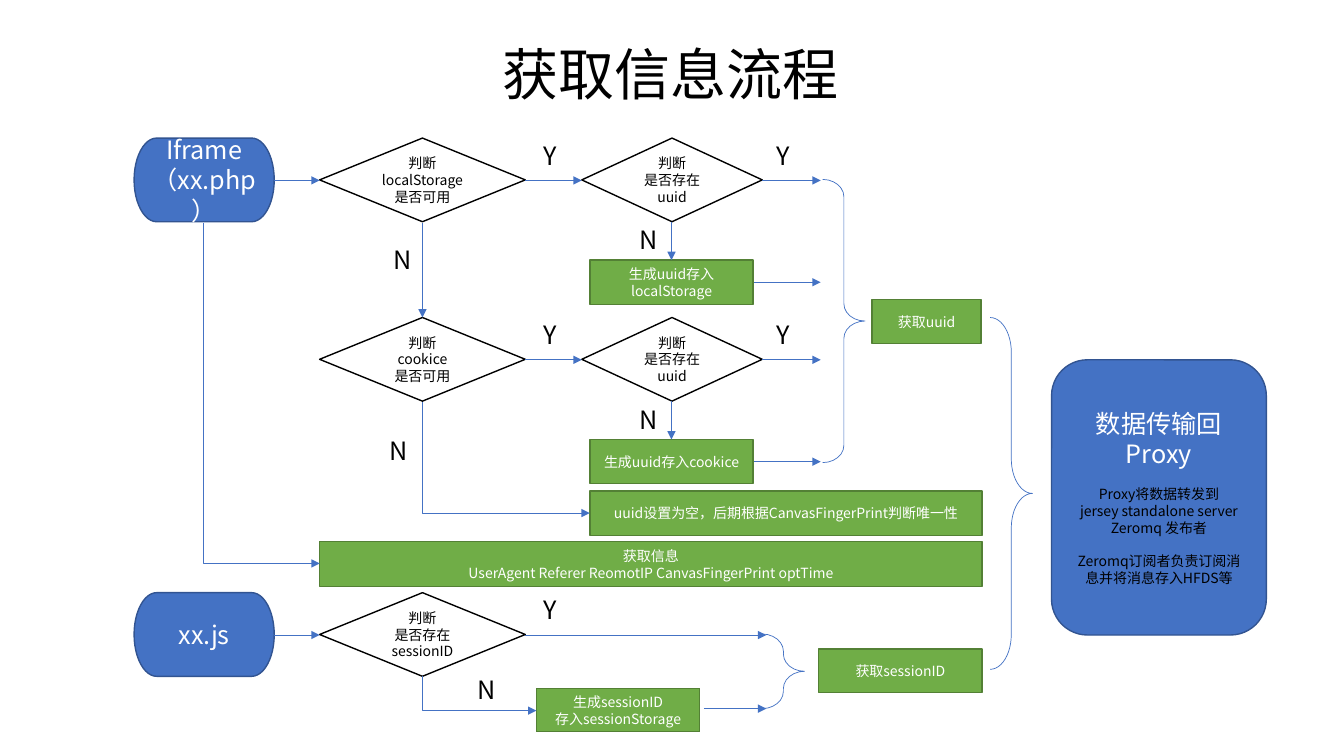
from dataclasses import dataclass

import lxml.etree
import pptx
import pptx.dml.color
import pptx.enum.shapes
import pptx.enum.text
import pptx.oxml.ns
import pptx.util

Inches = pptx.util.Inches
Pt = pptx.util.Pt
MSO = pptx.enum.shapes.MSO_SHAPE
LINK = pptx.enum.shapes.MSO_CONNECTOR
CENTER = pptx.enum.text.PP_ALIGN.CENTER
LEFT = pptx.enum.text.PP_ALIGN.LEFT
MIDDLE = pptx.enum.text.MSO_ANCHOR.MIDDLE
TOP = pptx.enum.text.MSO_ANCHOR.TOP
FONT = "Noto Sans CJK SC"
BLUE, BLACK, WHITE = "4472C4", "000000", "FFFFFF"


@dataclass(frozen=True)
class Kind:
    """Look shared by all nodes of one sort."""
    form: int
    fill: str
    edge: str
    ink: str
    size: int


@dataclass(frozen=True)
class Node:
    """One box of the flow, in inches."""
    kind: Kind
    x: float
    y: float
    w: float
    h: float
    text: str


START = Kind(MSO.FLOWCHART_TERMINATOR, BLUE, "325491", WHITE, 18)
TEST = Kind(MSO.FLOWCHART_DECISION, WHITE, BLACK, BLACK, 10)
STEP = Kind(MSO.FLOWCHART_PROCESS, "70AD47", "538035", WHITE, 10)
GOAL = Kind(MSO.FLOWCHART_ALTERNATE_PROCESS, BLUE, "325491", WHITE, 18)


def tint(code: str):
    """Turn a hex string into a colour."""
    return pptx.dml.color.RGBColor.from_string(code)


def put(item, values: dict) -> None:
    """Set each format value on an object."""
    for name, value in values.items():
        setattr(item, name, value)


def style(para, size: int, ink: str, align=CENTER) -> None:
    """Format one paragraph and its runs."""
    para.alignment = align
    for run in para.runs:
        put(run.font, {"size": Pt(size), "name": FONT})
        run.font.color.rgb = tint(ink)
        east = lxml.etree.SubElement(run.font._element, pptx.oxml.ns.qn("a:ea"))
        east.set("typeface", FONT)


def draw_node(slide, node: Node):
    """Draw a flow box with its text."""
    kind = node.kind
    shape = slide.shapes.add_shape(
        kind.form, *map(Inches, (node.x, node.y, node.w, node.h)))
    shape.shadow.inherit = False
    shape.fill.solid()
    shape.fill.fore_color.rgb = tint(kind.fill)
    shape.line.color.rgb = tint(kind.edge)
    shape.line.width = Pt(1)
    frame = shape.text_frame
    put(frame, {"word_wrap": True, "vertical_anchor": MIDDLE, "text": node.text})
    for para in frame.paragraphs:
        style(para, kind.size, kind.ink)
    return shape


def draw_mark(slide, x: float, y: float, text: str) -> None:
    """Draw a Y or N beside a branch."""
    box = slide.shapes.add_textbox(*map(Inches, (x, y, 0.39, 0.4)))
    put(box.text_frame, {"word_wrap": True, "vertical_anchor": TOP, "text": text})
    style(box.text_frame.paragraphs[0], 18, BLACK, LEFT)


def draw_brace(slide, x: float, y: float, h: float, curve: float) -> None:
    """Draw a right brace that joins branches."""
    brace = slide.shapes.add_shape(
        MSO.RIGHT_BRACE, *map(Inches, (x, y, 0.42, h)))
    brace.shadow.inherit = False
    brace.fill.background()
    brace.line.color.rgb = tint(BLUE)
    brace.line.width = Pt(0.5)
    brace.adjustments[0] = curve


def draw_link(slide, kind, x0: float, y0: float, x1: float, y1: float):
    """Draw a thin connector with an arrowhead at its end."""
    link = slide.shapes.add_connector(kind, *map(Inches, (x0, y0, x1, y1)))
    link.line.color.rgb = tint(BLUE)
    link.line.width = Pt(0.5)
    tail = lxml.etree.SubElement(
        link.line._get_or_add_ln(), pptx.oxml.ns.qn("a:tailEnd"))
    tail.set("type", "triangle")
    lxml.etree.SubElement(link._element.spPr, pptx.oxml.ns.qn("a:effectLst"))
    return link


def draw_bend(slide, x0: float, y0: float, x1: float, y1: float) -> None:
    """Draw an arrow that goes down, then right: a turned one-bend connector."""
    wide, high = y1 - y0, x1 - x0
    left, top = (x0 + x1 - wide) / 2, (y0 + y1 - high) / 2
    link = draw_link(slide, LINK.ELBOW, left + wide, top, left, top + high)
    props = link._element.spPr
    props.find(pptx.oxml.ns.qn("a:xfrm")).set("rot", str(270 * 60000))
    props.find(pptx.oxml.ns.qn("a:prstGeom")).set("prst", "bentConnector2")


deck = pptx.Presentation()
put(deck, {"slide_width": Inches(13.33), "slide_height": Inches(7.5)})
slide = deck.slides.add_slide(deck.slide_layouts[5])

title = slide.shapes.title
put(title, {"left": Inches(1.95), "top": Inches(0.34),
            "width": Inches(9.4), "height": Inches(0.77)})
put(title.text_frame, {"text": "获取信息流程", "word_wrap": True,
                       "vertical_anchor": MIDDLE,
                       "auto_size": pptx.enum.text.MSO_AUTO_SIZE.NONE})
style(title.text_frame.paragraphs[0], 40, BLACK)

ROWS = (1.37, 3.15, 5.88)
HIGH, HALF = 0.83, 0.42
TESTS = ("localStorage\n是否可用", "cookice\n是否可用", "是否存在\nsessionID")

# First test of every row, with its Y mark
for top, test in zip(ROWS, TESTS):
    draw_node(slide, Node(TEST, 3.17, top, 2.04, HIGH, "判断\n" + test))
    draw_mark(slide, 5.29, top - 0.03, "Y")

# Search for a uuid in each store
for top, store in zip(ROWS, ("localStorage", "cookice")):
    mid = top + HALF
    draw_node(slide, Node(TEST, 5.77, top, 1.79, HIGH, "判断\n是否存在\nuuid"))
    draw_node(slide, Node(STEP, 5.85, top + 1.21, 1.62, 0.44, "生成uuid存入" + store))
    draw_mark(slide, 7.6, top - 0.03, "Y")
    draw_mark(slide, 6.24, top + 0.81, "N")
    for ends in ((5.21, mid, 5.77, mid), (7.56, mid, 8.14, mid),
                 (6.66, top + HIGH, 6.66, top + 1.21),
                 (7.48, top + 1.43, 8.14, top + 1.43)):
        draw_link(slide, LINK.STRAIGHT, *ends)

# Entry points
for top, text in ((ROWS[0], "Iframe\n（xx.php）"), (ROWS[2], "xx.js")):
    draw_node(slide, Node(START, 1.33, top, 1.39, HIGH, text))
    draw_link(slide, LINK.STRAIGHT, 2.72, top + HALF, 3.17, top + HALF)

for node in (
    Node(STEP, 5.85, 4.87, 3.89, 0.44, "uuid设置为空，后期根据CanvasFingerPrint判断唯一性"),
    Node(STEP, 3.17, 5.37, 6.57, 0.45,
         "获取信息\nUserAgent Referer ReomotIP CanvasFingerPrint optTime"),
    Node(STEP, 5.32, 6.83, 1.62, 0.43, "生成sessionID\n存入sessionStorage"),
    Node(STEP, 8.12, 6.44, 1.62, 0.43, "获取sessionID"),
    Node(STEP, 8.65, 2.97, 1.08, 0.44, "获取uuid"),
):
    draw_node(slide, node)

goal = draw_node(slide, Node(
    GOAL, 10.43, 3.57, 2.13, 2.73,
    "数据传输回Proxy\nProxy将数据转发到\njersey standalone server\n"
    "Zeromq 发布者\nZeromq订阅者负责订阅消息并将消息存入HFDS等"))
notes = goal.text_frame.paragraphs[1:]
for para in notes:
    for run in para.runs:
        run.font.size = Pt(10)
        run.font.color.rgb = tint(BLACK)
for para in (notes[0], notes[-1]):
    para.space_before = Pt(12)

for x, y in ((3.8, 2.37), (3.76, 4.27), (4.64, 6.64)):
    draw_mark(slide, x, y, "N")

for ends in ((4.19, 2.21, 4.19, 3.15), (5.21, 6.3, 7.6, 6.3),
             (6.98, 7.03, 7.6, 7.03)):
    draw_link(slide, LINK.STRAIGHT, *ends)

for ends in ((2.02, 2.21, 3.17, 5.59), (4.19, 3.99, 5.85, 5.09),
             (4.19, 6.71, 5.32, 7.05)):
    draw_bend(slide, *ends)

for brace in ((8.16, 1.78, 2.81, 0.41), (9.82, 3.15, 3.49, 0.82),
              (7.56, 6.29, 0.74, 0.41)):
    draw_brace(slide, *brace)

deck.save("out.pptx")
